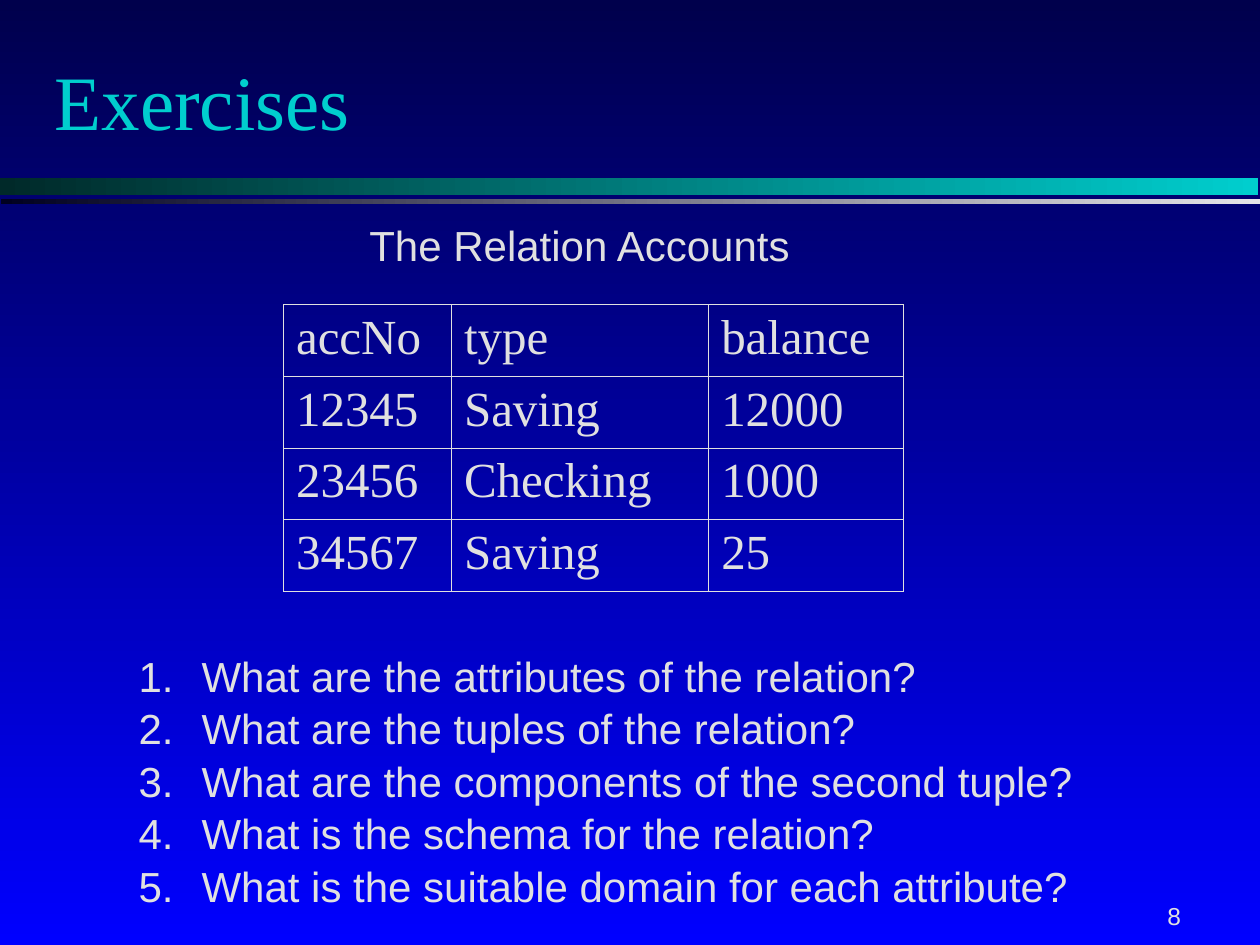
from dataclasses import dataclass

from lxml import etree
from pptx import Presentation
from pptx.dml.color import RGBColor
from pptx.enum import shapes, text
from pptx.oxml import ns
from pptx.util import Pt

# Content
TITLE = "Exercises"
CAPTION = "The Relation Accounts"
ACCOUNTS = [
    ("accNo", "type", "balance"),
    ("12345", "Saving", "12000"),
    ("23456", "Checking", "1000"),
    ("34567", "Saving", "25"),
]
QUESTIONS = [
    "What are the attributes of the relation?",
    "What are the tuples of the relation?",
    "What are the components of the second tuple?",
    "What is the schema for the relation?",
    "What is the suitable domain for each attribute?",
]
PAGE_NUMBER = "8"


@dataclass(frozen=True)
class Theme:
    light: str = "E0E0E0"
    accent: str = "00CECE"
    background: tuple = ("00004C", "0000FF")
    teal_bar: tuple = ("002929", "00CECE")
    grey_bar: tuple = ("000020", "E5E5E8")
    serif: str = "Times New Roman"
    sans: str = "Arial"
    title_size: float = 44
    table_size: float = 28
    body_size: float = 24
    number_size: float = 14


THEME = Theme()

# Layout, in points: left, top, width, height
TITLE_AREA = (24, 12, 612, 90)
CAPTION_AREA = (204, 120, 294, 36)
QUESTION_AREA = (72, 366, 600, 151)
NUMBER_AREA = (660, 510, 42, 24.5)
BARS = [
    ((0, 102, 719, 9.4), THEME.teal_bar),
    ((0.5, 113.75, 719.5, 3), THEME.grey_bar),
]
TABLE_LEFT, TABLE_TOP = 162, 174
COLUMN_WIDTHS = (96, 147, 111)
ROW_HEIGHT = 41
BORDER_WIDTH = 0.45
HANGING = 36


def points(area):
    return [Pt(value) for value in area]


def place(box, area):
    box.left, box.top, box.width, box.height = points(area)


def add_xml(parent, tag, **attributes):
    element = etree.SubElement(parent, ns.qn(tag))
    for name, value in attributes.items():
        element.set(name, str(value))
    return element


def paint_gradient(fill, colors, angle):
    fill.gradient()
    fill.gradient_angle = angle
    for stop, color, position in zip(fill.gradient_stops, colors, (0, 1)):
        stop.color.rgb = RGBColor.from_string(color)
        stop.position = position


def write(frame, lines, *, font=THEME.sans, size=THEME.body_size,
          color=THEME.light, anchor=text.MSO_ANCHOR.TOP, top_inset=3.6,
          gap=0, numbered=False, shadow=False):
    frame.word_wrap = True
    frame.auto_size = text.MSO_AUTO_SIZE.NONE
    frame.vertical_anchor = anchor
    frame.margin_left = frame.margin_right = Pt(7.2)
    frame.margin_top, frame.margin_bottom = Pt(top_inset), Pt(3.6)
    for index, line in enumerate(lines):
        para = frame.paragraphs[0] if index == 0 else frame.add_paragraph()
        if numbered:
            number_paragraph(para, color)
        para.alignment = text.PP_ALIGN.LEFT
        para.line_spacing = 1.0
        para.space_before, para.space_after = Pt(0), Pt(gap)
        span = para.add_run()
        span.text = line
        span.font.name = font
        span.font.size = Pt(size)
        span.font.color.rgb = RGBColor.from_string(color)
        if shadow:
            shadow_text(span)


def number_paragraph(para, color):
    properties = para._p.get_or_add_pPr()
    properties.set("marL", str(Pt(HANGING)))
    properties.set("indent", str(-Pt(HANGING)))
    add_xml(add_xml(properties, "a:buClr"), "a:srgbClr", val=color)
    add_xml(properties, "a:buFont", typeface=THEME.sans)
    add_xml(properties, "a:buAutoNum", type="arabicPeriod")


def shadow_text(span):
    properties = span.font._element
    effects = etree.Element(ns.qn("a:effectLst"))
    outer = add_xml(effects, "a:outerShdw", dist=Pt(3), dir=2700000)
    add_xml(outer, "a:srgbClr", val="000000")
    properties.find(ns.qn("a:solidFill")).addnext(effects)


def border_cell(cell):
    properties = cell._tc.get_or_add_tcPr()
    for side in ("L", "R", "T", "B"):
        line = add_xml(properties, f"a:ln{side}", w=Pt(BORDER_WIDTH))
        add_xml(add_xml(line, "a:solidFill"), "a:srgbClr", val=THEME.light)


def add_accounts(page):
    frame = page.shapes.add_table(
        len(ACCOUNTS), len(COLUMN_WIDTHS),
        *points((TABLE_LEFT, TABLE_TOP, sum(COLUMN_WIDTHS),
                 ROW_HEIGHT * len(ACCOUNTS))))
    table = frame.table
    table.first_row = table.horz_banding = False
    for column, width in zip(table.columns, COLUMN_WIDTHS):
        column.width = Pt(width)
    for row, values in zip(table.rows, ACCOUNTS):
        row.height = Pt(ROW_HEIGHT)
        for cell, value in zip(row.cells, values):
            border_cell(cell)
            cell.fill.background()
            cell.margin_left = cell.margin_right = Pt(7.2)
            cell.margin_top = cell.margin_bottom = Pt(3.6)
            para = cell.text_frame.paragraphs[0]
            span = para.add_run()
            span.text = value
            span.font.name = THEME.serif
            span.font.size = Pt(THEME.table_size)
            span.font.color.rgb = RGBColor.from_string(THEME.light)


def main():
    deck = Presentation()
    deck.slide_width, deck.slide_height = Pt(720), Pt(540)
    page = deck.slides.add_slide(deck.slide_layouts[1])
    paint_gradient(page.background.fill, THEME.background, 270)

    # Bars under the title
    for area, colors in BARS:
        bar = page.shapes.add_shape(shapes.MSO_SHAPE.RECTANGLE, *points(area))
        bar.shadow.inherit = False
        bar.line.fill.background()
        paint_gradient(bar.fill, colors, 0)

    # Title and questions
    title, body = page.placeholders
    place(title, TITLE_AREA)
    write(title.text_frame, [TITLE], font=THEME.serif, size=THEME.title_size,
          color=THEME.accent, anchor=text.MSO_ANCHOR.MIDDLE, shadow=True)
    place(body, QUESTION_AREA)
    write(body.text_frame, QUESTIONS, numbered=True, top_inset=5.6, gap=1.2)

    # Table with its caption
    add_accounts(page)
    caption = page.shapes.add_textbox(*points(CAPTION_AREA))
    write(caption.text_frame, [CAPTION], top_inset=5.6)

    # Page number
    number = page.shapes.add_textbox(*points(NUMBER_AREA))
    write(number.text_frame, [PAGE_NUMBER], size=THEME.number_size,
          top_inset=4.8)

    deck.save("out.pptx")


if __name__ == "__main__":
    main()
